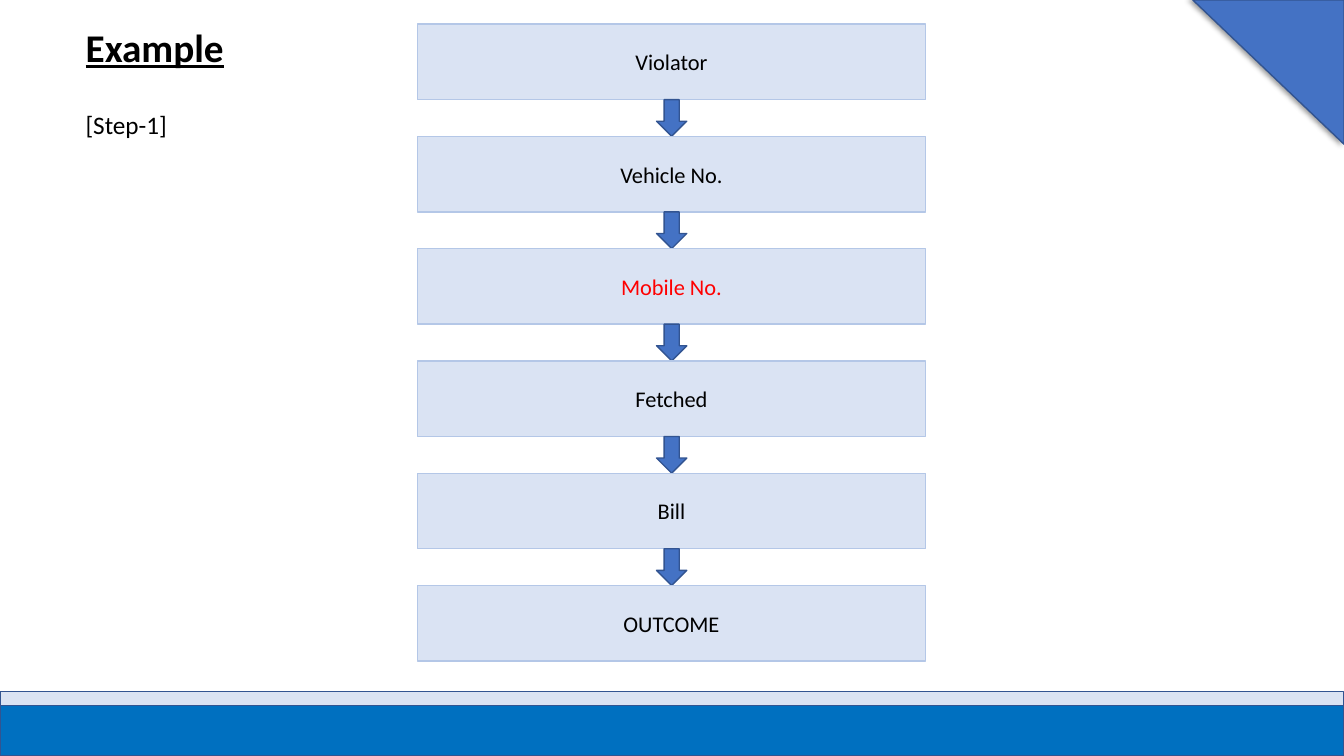
"""Build the Step-1 example flowchart slide."""
import pptx
import pptx.dml.color
import pptx.enum.shapes
import pptx.enum.text
import pptx.oxml
import pptx.oxml.ns
import pptx.util

Pt = pptx.util.Pt
RGBColor = pptx.dml.color.RGBColor
SHAPE = pptx.enum.shapes.MSO_SHAPE
ALIGN = pptx.enum.text.PP_ALIGN
ANCHOR = pptx.enum.text.MSO_ANCHOR

BLACK = RGBColor(0x00, 0x00, 0x00)
RED = RGBColor(0xFF, 0x00, 0x00)
PALE = RGBColor(0xDA, 0xE3, 0xF3)
PALE_EDGE = RGBColor(0xB4, 0xC7, 0xE7)
BLUE = RGBColor(0x44, 0x72, 0xC4)
DARK_EDGE = RGBColor(0x32, 0x54, 0x91)
BAND = RGBColor(0x00, 0x70, 0xC0)

STEPS = ["Violator", "Vehicle No.", "Mobile No.", "Fetched", "Bill", "OUTCOME"]
STEP_LEFT, STEP_TOP, STEP_WIDTH, STEP_HEIGHT, STEP_PITCH = 298, 17.2, 363.2, 54, 80.2
ARROW_LEFT, ARROW_WIDTH = 469, 21.6


class SlideBuilder:
    def __init__(self, slide, font="Calibri"):
        self.slide = slide
        self.font = font

    def put_text(self, frame, text, size=16, color=BLACK, bold=False, underline=False,
                 align=ALIGN.LEFT, anchor=ANCHOR.TOP):
        frame.word_wrap = True
        frame.auto_size = pptx.enum.text.MSO_AUTO_SIZE.NONE
        frame.vertical_anchor = anchor
        paragraph = frame.paragraphs[0]
        paragraph.alignment = align
        run = paragraph.add_run()
        run.text = text
        run.font.name = self.font
        run.font.size = Pt(size)
        run.font.bold = bold
        run.font.underline = underline
        run.font.color.rgb = color

    def title(self, text, left, top, width, height, **text_format):
        heading = self.slide.shapes.title
        heading.left, heading.top = Pt(left), Pt(top)
        heading.width, heading.height = Pt(width), Pt(height)
        self.put_text(heading.text_frame, text, **text_format)

    def label(self, text, left, top, width, height, **text_format):
        box = self.slide.shapes.add_textbox(Pt(left), Pt(top), Pt(width), Pt(height))
        self.put_text(box.text_frame, text, **text_format)

    def shape(self, kind, left, top, width, height, fill, edge=DARK_EDGE, edge_width=1):
        drawn = self.slide.shapes.add_shape(kind, Pt(left), Pt(top), Pt(width), Pt(height))
        drawn.shadow.inherit = False
        drawn.fill.solid()
        drawn.fill.fore_color.rgb = fill
        drawn.line.color.rgb = edge
        drawn.line.width = Pt(edge_width)
        return drawn

    def step(self, text, top, color):
        box = self.shape(SHAPE.RECTANGLE, STEP_LEFT, top, STEP_WIDTH, STEP_HEIGHT, PALE, PALE_EDGE)
        self.put_text(box.text_frame, text, color=color, align=ALIGN.CENTER, anchor=ANCHOR.MIDDLE)

    def corner(self, left, top, width, height):
        triangle = self.shape(SHAPE.RIGHT_TRIANGLE, left, top, width, height, BLUE)
        triangle.rotation = 180
        effects = triangle._element.spPr.find(pptx.oxml.ns.qn("a:effectLst"))
        effects.append(pptx.oxml.parse_xml(
            f'<a:outerShdw {pptx.oxml.ns.nsdecls("a")} blurRad="{Pt(4)}" dist="{Pt(3)}" '
            'dir="10800000" rotWithShape="0"><a:srgbClr val="000000">'
            '<a:alpha val="40000"/></a:srgbClr></a:outerShdw>'))


def main():
    deck = pptx.Presentation()
    deck.slide_width, deck.slide_height = Pt(960), Pt(540)
    page = SlideBuilder(deck.slides.add_slide(deck.slide_layouts[5]))

    page.shape(SHAPE.RECTANGLE, 0, 494, 960, 46, PALE, edge_width=0.75)
    page.shape(SHAPE.RECTANGLE, 0.5, 504, 959.5, 36, BAND)
    page.corner(852, 0, 108, 103)

    for index, step in enumerate(STEPS):
        top = STEP_TOP + index * STEP_PITCH
        page.step(step, top, RED if step == "Mobile No." else BLACK)
        if index < len(STEPS) - 1:
            page.shape(SHAPE.DOWN_ARROW, ARROW_LEFT, top + STEP_HEIGHT, ARROW_WIDTH,
                       STEP_PITCH - STEP_HEIGHT, BLUE)

    page.title("Example", 54, 13, 135.4, 41, size=28, bold=True, underline=True)
    page.label("[Step-1]", 54, 74.2, 87, 29, size=18)
    deck.save("out.pptx")


if __name__ == "__main__":
    main()
